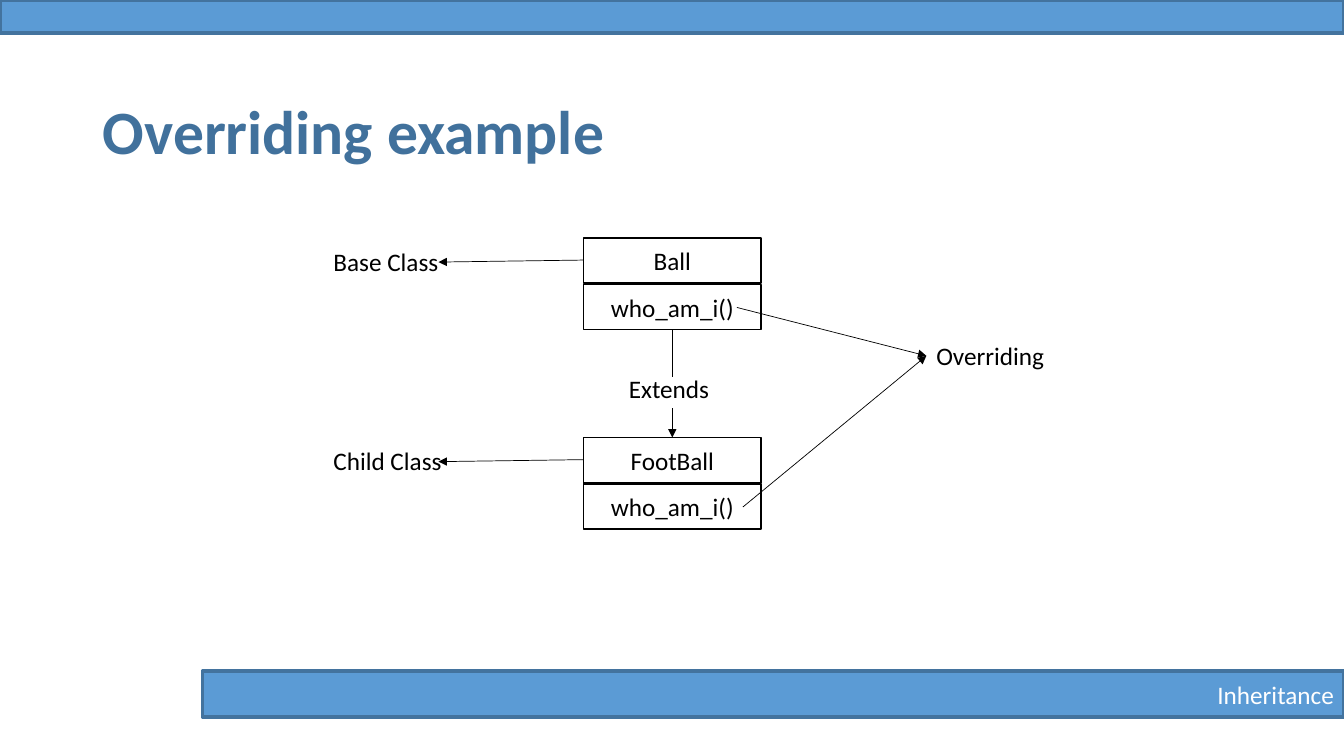
from dataclasses import dataclass

from lxml import etree
from pptx import Presentation
from pptx.dml.color import RGBColor
from pptx.enum.shapes import MSO_CONNECTOR, MSO_SHAPE
from pptx.enum.text import MSO_ANCHOR, PP_ALIGN
from pptx.oxml.ns import qn
from pptx.util import Inches, Pt

RECTANGLE, STRAIGHT = MSO_SHAPE.RECTANGLE, MSO_CONNECTOR.STRAIGHT
LEFT, CENTER, RIGHT = PP_ALIGN.LEFT, PP_ALIGN.CENTER, PP_ALIGN.RIGHT
MIDDLE, TOP = MSO_ANCHOR.MIDDLE, MSO_ANCHOR.TOP
TITLE_ONLY = 5

COLORS = {"title": "41719C", "bar": "5B9BD5", "bar_line": "43739E",
          "ink": "000000", "paper": "FFFFFF"}
FONT = "Calibri"
CELL = Inches(0.1)  # one column or row of the slide grid
COLUMNS, ROWS = 133.33, 75


@dataclass
class Box:
    """A region of the slide, measured in grid cells."""
    left: float
    top: float
    width: float
    height: float

    def point(self, column, row):
        """Return slide coordinates of a point inside the region."""
        return int((self.left + column) * CELL), int((self.top + row) * CELL)

    def place(self, column, row, width, height):
        """Return slide position and size of a part of the region."""
        return (*self.point(column, row), int(width * CELL), int(height * CELL))

    def whole(self):
        """Return slide position and size of the region itself."""
        return self.place(0, 0, self.width, self.height)


def color(name):
    """Look up a palette colour."""
    return RGBColor.from_string(COLORS[name])


def write(shape, text, size=18, ink="ink", align=LEFT, anchor=TOP, bold=False):
    """Put one formatted paragraph into a shape."""
    frame = shape.text_frame
    frame.text, frame.word_wrap, frame.vertical_anchor = text, True, anchor
    paragraph = frame.paragraphs[0]
    paragraph.alignment = align
    font = paragraph.font
    font.name, font.size, font.bold = FONT, Pt(size), bold
    font.color.rgb = color(ink)
    return paragraph


def add_rectangle(slide, position, fill, line, line_width):
    """Add a flat outlined rectangle."""
    shape = slide.shapes.add_shape(RECTANGLE, *position)
    shape.shadow.inherit = False
    shape.fill.solid()
    shape.fill.fore_color.rgb = color(fill)
    shape.line.color.rgb = color(line)
    shape.line.width = Pt(line_width)
    return shape


def add_line(slide, start, end, arrow=True):
    """Add a thin line, with an arrowhead at its end if wanted."""
    connector = slide.shapes.add_connector(STRAIGHT, *start, *end)
    connector.line.color.rgb = color("ink")
    connector.line.width = Pt(0.5)
    properties = connector.line._get_or_add_ln()
    if arrow:
        etree.SubElement(properties, qn("a:tailEnd"), type="triangle")
    etree.SubElement(properties.getparent(), qn("a:effectLst"))


def add_title(slide, box, text):
    """Fill and move the title placeholder."""
    title = slide.shapes.title
    title.left, title.top, title.width, title.height = box.whole()
    paragraph = write(title, text, 44, "title", anchor=MIDDLE, bold=True)
    paragraph.line_spacing = 0.9


def add_bar(slide, box, text=""):
    """Draw a coloured bar with optional text at its right end."""
    bar = add_rectangle(slide, box.whole(), "bar", "bar_line", 2.75)
    if text:
        write(bar, text, ink="paper", align=RIGHT, anchor=MIDDLE)


def add_class(slide, box, names):
    """Stack the class name and its method in two equal cells."""
    gap = 0.1
    height = (box.height - gap) / len(names)
    for index, name in enumerate(names):
        position = box.place(0, index * (height + gap), box.width, height)
        cell = add_rectangle(slide, position, "paper", "ink", 1)
        write(cell, name, align=CENTER, anchor=MIDDLE)


def add_diagram(slide, box):
    """Draw both classes, their labels and the arrows between them."""
    class_left, class_width, class_height = 25.8, 17.6, 9.1
    child_top = box.height - class_height
    label_width, label_height = 15.7, 4
    middle = class_left + class_width / 2
    override_left, override_row = box.width - label_width, 11.7

    classes = [("Ball", "Base Class", 0, 41), ("FootBall", "Child Class", child_top, 41.6)]
    labels = [("Extends", 29.3, 12.9, 10.6),
              ("Overriding", override_left, 9.7, label_width)]
    lines = [((middle, class_height), (middle, 13.8), False),
             ((middle, 16.9), (middle, child_top), True)]
    for name, label, top, method_end in classes:
        class_box = Box(box.left + class_left, box.top + top, class_width, class_height)
        add_class(slide, class_box, (name, "who_am_i()"))
        labels.append((label, 0, top + 0.3, label_width))
        lines += [((class_left, top + 2.2), (11.4, top + 2.4), True),
                  ((method_end, top + 6.9), (override_left, override_row), True)]

    for text, left, top, width in labels:
        position = box.place(left, top, width, label_height)
        write(slide.shapes.add_textbox(*position), text)
    for start, end, arrow in lines:
        add_line(slide, box.point(*start), box.point(*end), arrow)


def build_slide(presentation):
    """Compose the overriding example slide."""
    slide = presentation.slides.add_slide(presentation.slide_layouts[TITLE_ONLY])
    add_title(slide, Box(9.2, 8.2, 115, 10.3), "Overriding example")
    add_bar(slide, Box(0, 0, COLUMNS, 3.3))
    add_bar(slide, Box(20.1, 66.6, COLUMNS - 20.1, 4.5), "Inheritance")
    add_diagram(slide, Box(32.1, 23.6, 75.5, 28.9))


presentation = Presentation()
presentation.slide_width = int(COLUMNS * CELL)
presentation.slide_height = ROWS * CELL
build_slide(presentation)
presentation.save("out.pptx")
